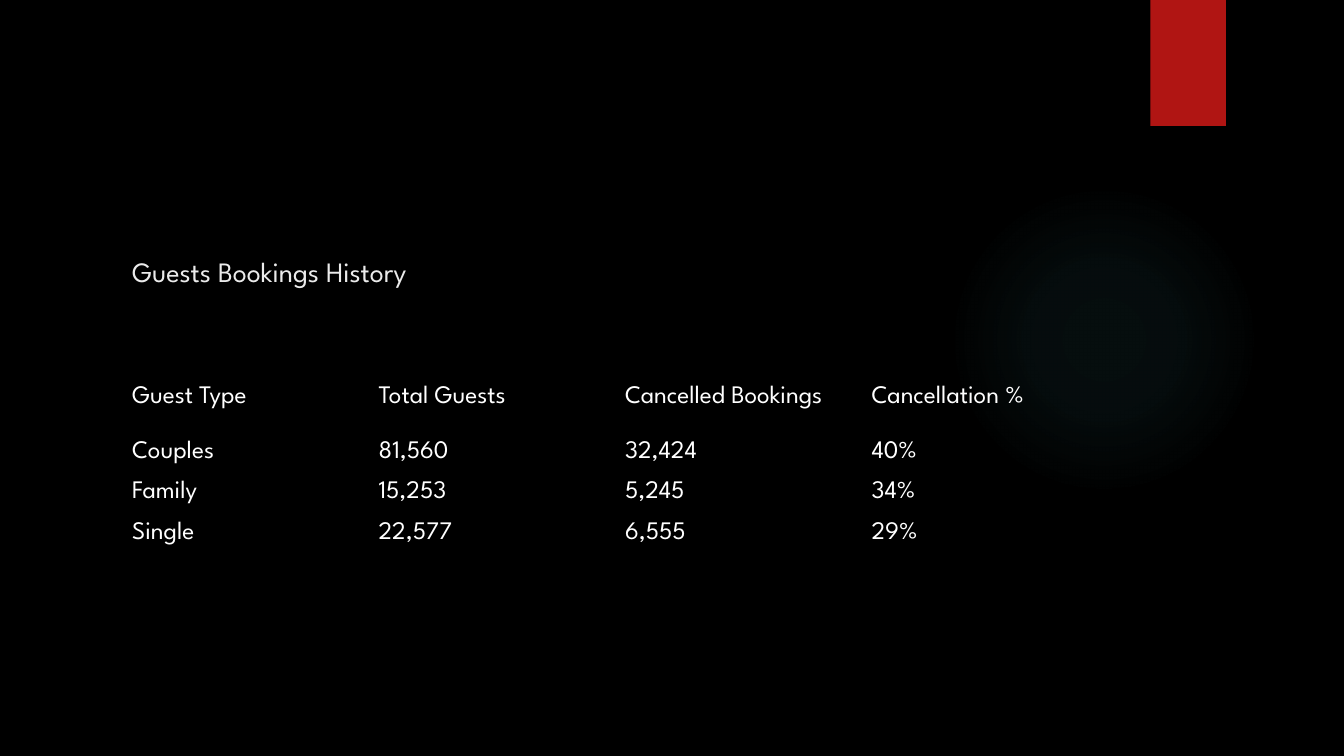
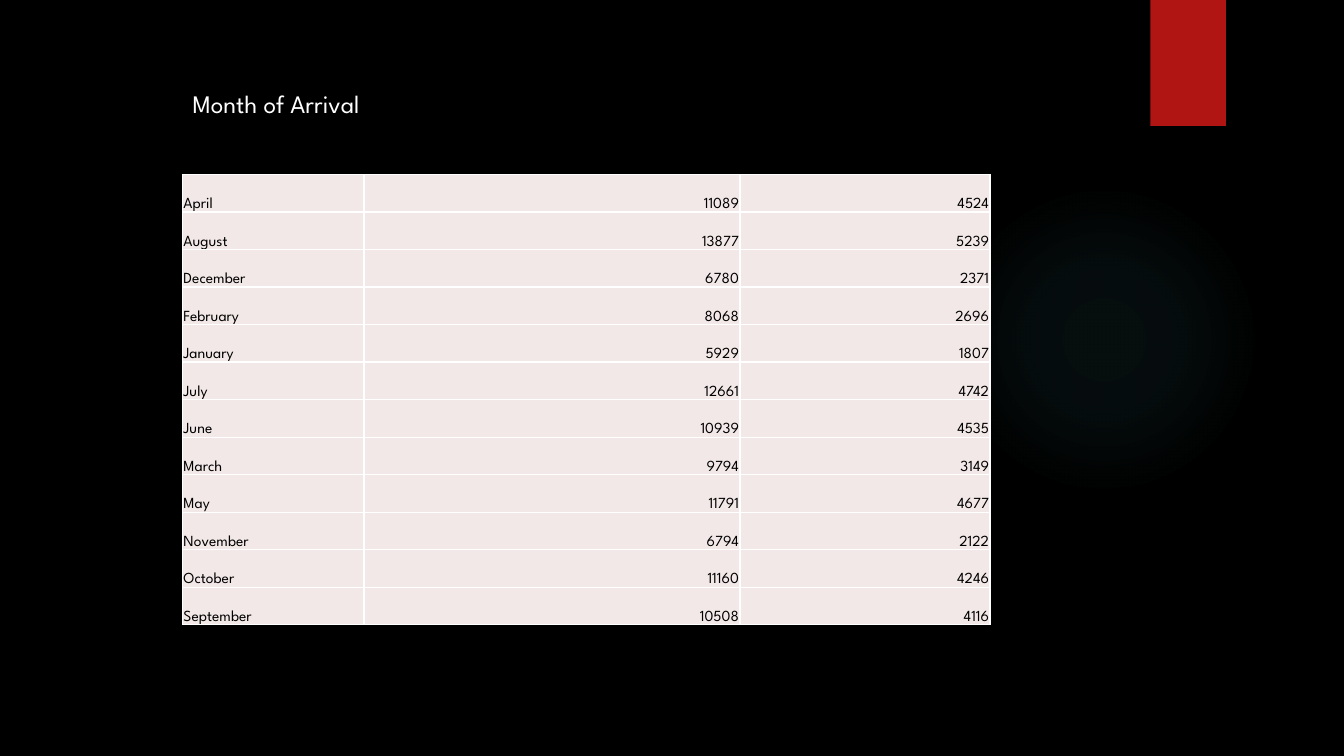
from pptx import Presentation
from pptx.dml.color import RGBColor
from pptx.enum.shapes import MSO_SHAPE
from pptx.enum.text import MSO_ANCHOR, MSO_AUTO_SIZE, PP_ALIGN
from pptx.oxml import parse_xml
from pptx.oxml.ns import nsdecls
from pptx.util import Inches, Pt

FONT = "League Spartan"
BLACK, WHITE, RED = "000000", "FFFFFF", "B01513"
TITLE_GREY, CELL_PINK, GLOW_TEAL = "EBEBEB", "F2E8E7", "50B9C1"
GLOW_STOPS = [(0, 7), (36, 6), (69, 0)]
NO_STYLE = "{2D5ABB26-0587-4C30-8999-92F81FD0307C}"

GUESTS_TITLE = "Guests Bookings History"
GUEST_ROWS = [
    ("Guest Type", "Total Guests", "Cancelled Bookings", "Cancellation %"),
    ("Couples", "81,560", "32,424", "40%"),
    ("Family", "15,253", "5,245", "34%"),
    ("Single", "22,577", "6,555", "29%"),
]

ARRIVAL_TITLE = "Month of Arrival"
ARRIVAL_ROWS = [
    ("April", 11089, 4524),
    ("August", 13877, 5239),
    ("December", 6780, 2371),
    ("February", 8068, 2696),
    ("January", 5929, 1807),
    ("July", 12661, 4742),
    ("June", 10939, 4535),
    ("March", 9794, 3149),
    ("May", 11791, 4677),
    ("November", 6794, 2122),
    ("October", 11160, 4246),
    ("September", 10508, 4116),
]


def color(value):
    return RGBColor.from_string(value)


def style(paragraph, size, font_color):
    font = paragraph.font
    font.name, font.size = FONT, Pt(size)
    font.color.rgb = color(font_color)


def glow_fill():
    stops = "".join(
        f'<a:gs pos="{position * 1000}"><a:srgbClr val="{GLOW_TEAL}">'
        f'<a:alpha val="{opacity * 1000}"/></a:srgbClr></a:gs>'
        for position, opacity in GLOW_STOPS
    )
    return parse_xml(
        f'<a:gradFill {nsdecls("a")} rotWithShape="1"><a:gsLst>{stops}</a:gsLst>'
        '<a:path path="circle">'
        '<a:fillToRect l="50000" t="50000" r="50000" b="50000"/></a:path></a:gradFill>'
    )


def decorate_master(master, slide):
    master.background.fill.solid()
    master.background.fill.fore_color.rgb = color(BLACK)

    glow = slide.shapes.add_shape(
        MSO_SHAPE.OVAL, Inches(9.41), Inches(1.83), Inches(3.08), Inches(3.08))
    glow.element.spPr.prstGeom.addnext(glow_fill())

    tab = slide.shapes.add_shape(
        MSO_SHAPE.RECTANGLE, Inches(11.41), 0, Inches(0.75), Inches(1.25))
    tab.fill.solid()
    tab.fill.fore_color.rgb = color(RED)

    for shape_id, decoration in enumerate((glow, tab), start=20):
        decoration.line.fill.background()
        decoration.shadow.inherit = False
        decoration.element.nvSpPr.cNvPr.id = shape_id
        master.shapes.element.append(decoration.element)


def set_title(slide, text, box, size, font_color, anchor):
    title = slide.shapes.title
    title.left, title.top, title.width, title.height = map(Inches, box)
    frame = title.text_frame
    frame.text = text
    frame.word_wrap = True
    frame.auto_size = MSO_AUTO_SIZE.NONE
    frame.vertical_anchor = anchor
    heading = frame.paragraphs[0]
    heading.alignment = PP_ALIGN.LEFT
    style(heading, size, font_color)


def add_plain_table(slide, rows, left, top, widths, heights, size, font_color, anchor):
    frame = slide.shapes.add_table(
        len(rows), len(widths), Inches(left), Inches(top),
        Inches(sum(widths)), Inches(sum(heights)))
    table = frame.table
    table.first_row = table.horz_banding = False
    table._tbl.tblPr.find("{*}tableStyleId").text = NO_STYLE
    for column, width in zip(table.columns, widths):
        column.width = Inches(width)
    for row, height, values in zip(table.rows, heights, rows):
        row.height = Inches(height)
        for cell, value in zip(row.cells, values):
            cell.text = str(value)
            cell.vertical_anchor = anchor
            cell.fill.background()
            style(cell.text_frame.paragraphs[0], size, font_color)
    return table


def add_borders(cell, line_color):
    properties = cell._tc.get_or_add_tcPr()
    for position, side in enumerate(("lnL", "lnR", "lnT", "lnB")):
        properties.insert(position, parse_xml(
            f'<a:{side} {nsdecls("a")} w="{Pt(1)}"><a:solidFill>'
            f'<a:srgbClr val="{line_color}"/></a:solidFill></a:{side}>'))


def build_guests(slide):
    set_title(slide, GUESTS_TITLE, (1.21, 1.06, 9.65, 1.85), 20, TITLE_GREY,
              MSO_ANCHOR.BOTTOM)
    columns = len(GUEST_ROWS[0])
    add_plain_table(slide, GUEST_ROWS, 1.21, 3.59, [9.78 / columns] * columns,
                    [0.7] + [0.4] * (len(GUEST_ROWS) - 1), 18, WHITE, MSO_ANCHOR.MIDDLE)


def build_arrivals(slide):
    set_title(slide, ARRIVAL_TITLE, (1.81, 0.83, 2.13, 0.4), 18, WHITE, MSO_ANCHOR.TOP)
    months = len(ARRIVAL_ROWS)
    table = add_plain_table(slide, ARRIVAL_ROWS, 1.81, 1.73, [1.8, 3.73, 2.48],
                            [4.47 / months] * months, 11, BLACK, MSO_ANCHOR.BOTTOM)
    for row in table.rows:
        for index, cell in enumerate(row.cells):
            cell.margin_left = cell.margin_right = cell.margin_top = Inches(0.01)
            cell.margin_bottom = 0
            cell.fill.solid()
            cell.fill.fore_color.rgb = color(CELL_PINK)
            add_borders(cell, WHITE)
            if index:
                cell.text_frame.paragraphs[0].alignment = PP_ALIGN.RIGHT


def main():
    deck = Presentation()
    deck.slide_width, deck.slide_height = Inches(13.33), Inches(7.5)
    title_only = deck.slide_layouts[5]
    guests, arrivals = (deck.slides.add_slide(title_only) for _ in range(2))
    decorate_master(deck.slide_master, guests)
    build_guests(guests)
    build_arrivals(arrivals)
    deck.save("out.pptx")


if __name__ == "__main__":
    main()
